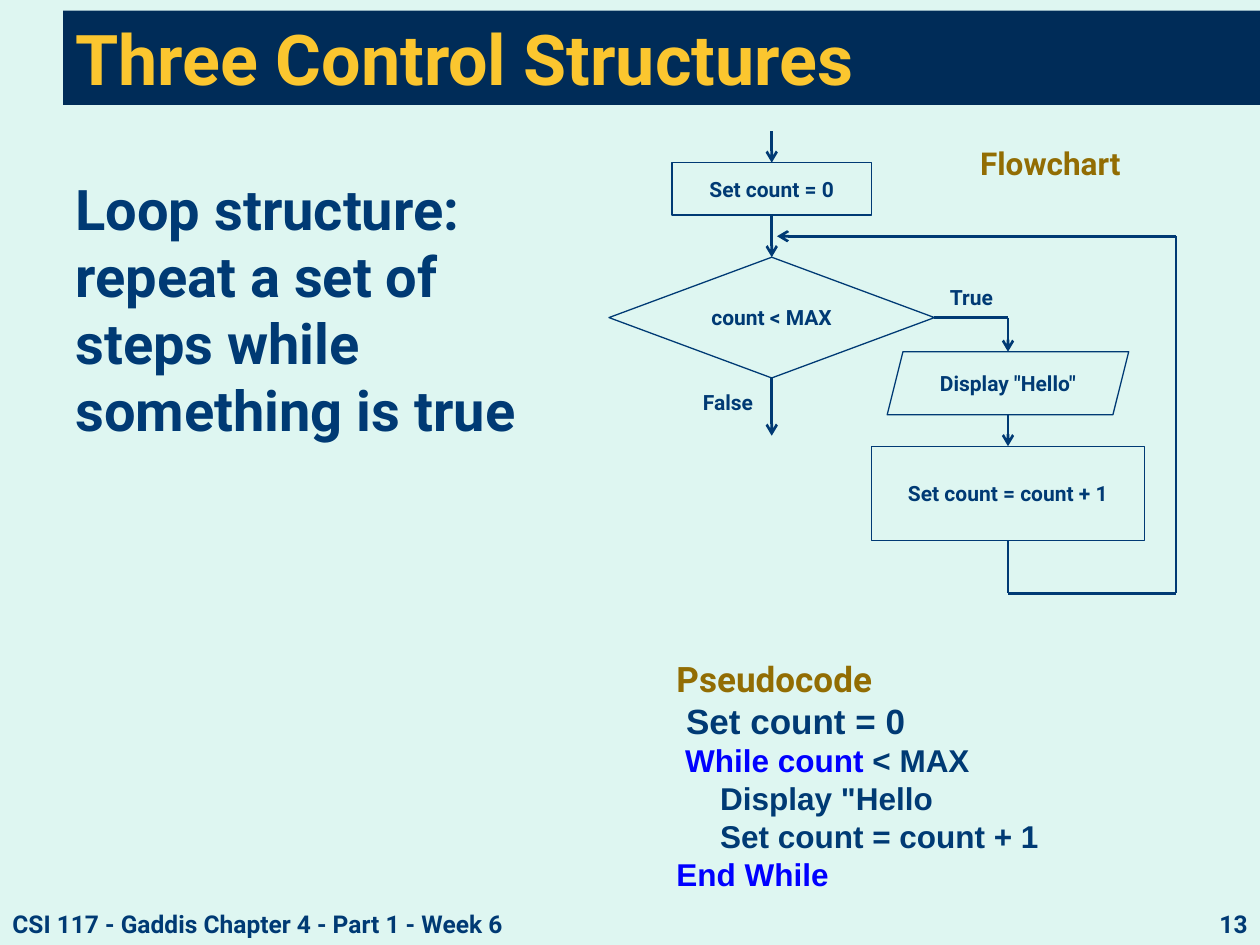
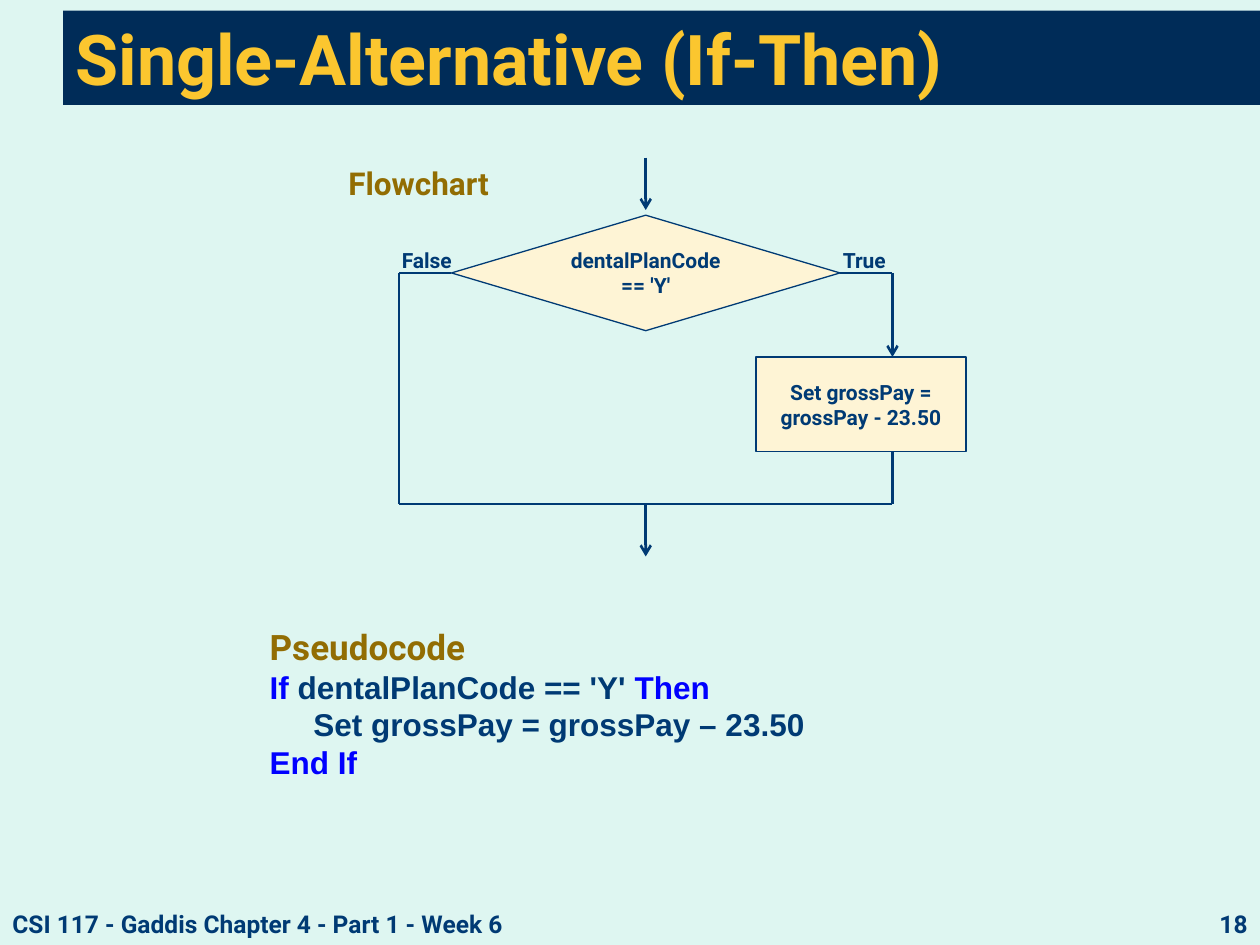
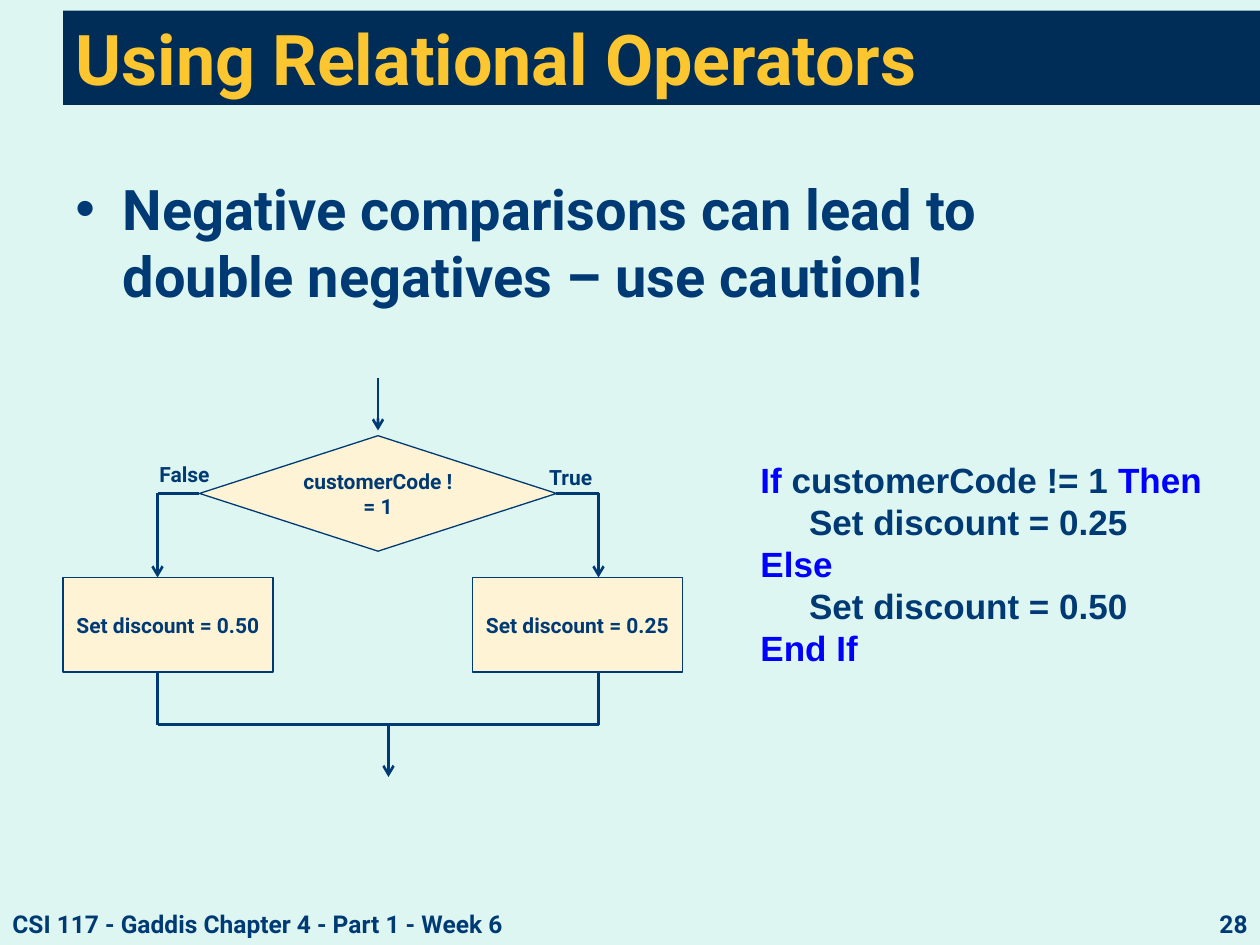
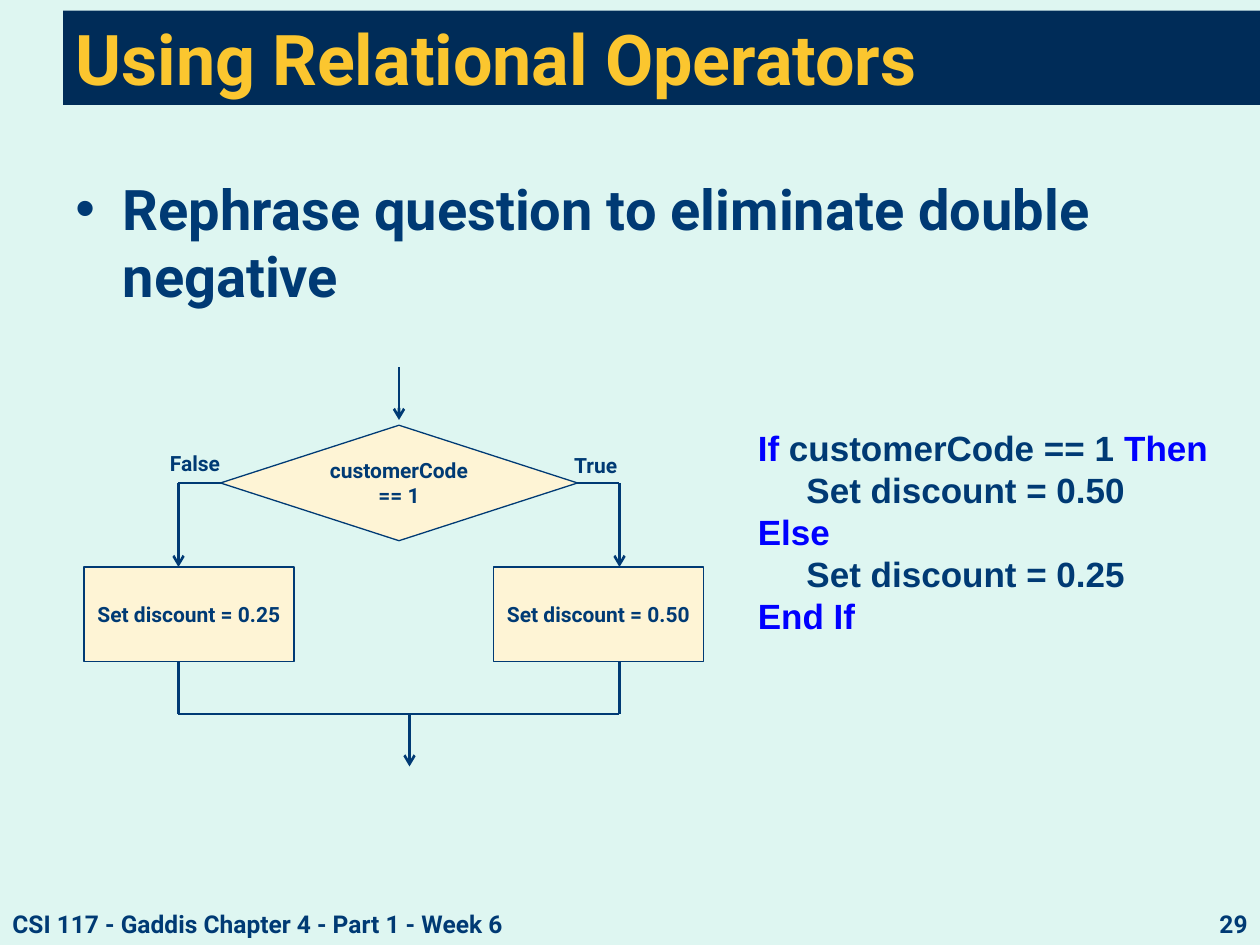
import lxml.etree
import pptx
import pptx.dml.color
import pptx.enum.shapes
import pptx.enum.text
import pptx.oxml.ns
import pptx.util

Pt = pptx.util.Pt
qn = pptx.oxml.ns.qn
SHAPES = pptx.enum.shapes.MSO_SHAPE
ALIGN = pptx.enum.text.PP_ALIGN
ANCHOR = pptx.enum.text.MSO_ANCHOR
AUTO_SIZE = pptx.enum.text.MSO_AUTO_SIZE

BACKGROUND = "DEF6F1"
BAND = "002C58"
TITLE = "FBC62F"
INK = "003A74"
CAPTION = "926D03"
KEYWORD = "0000FF"
STEP_FILL = "FEF4D5"

HEADING_FONT = "Roboto"
CODE_FONT = "Arial"
FOOTER = "CSI 117 - Gaddis Chapter 4 - Part 1 - Week 6"

TOP, LEFT, BOTTOM, RIGHT = range(4)


def color(hex_string):
    return pptx.dml.color.RGBColor.from_string(hex_string)


def fill(shape, hex_string):
    shape.fill.solid()
    shape.fill.fore_color.rgb = color(hex_string)


def format_run(run, size, hex_string=INK, font=HEADING_FONT):
    run.font.name = font
    run.font.size = Pt(size)
    run.font.bold = True
    run.font.color.rgb = color(hex_string)


def format_paragraph(paragraph, size, hex_string=INK, align=ALIGN.LEFT):
    paragraph.alignment = align
    for run in paragraph.runs:
        format_run(run, size, hex_string)


def add_text(slide, box, text, size, hex_string=INK, align=ALIGN.LEFT, wrap=True):
    shape = slide.shapes.add_textbox(*map(Pt, box))
    frame = shape.text_frame
    frame.word_wrap = wrap
    if not wrap:
        frame.auto_size = AUTO_SIZE.SHAPE_TO_FIT_TEXT
    frame.text = text
    format_paragraph(frame.paragraphs[0], size, hex_string, align)
    return shape


def add_slide(presentation, title, number):
    """Add a slide with the title band, the footer and the page number."""
    slide = presentation.slides.add_slide(presentation.slide_layouts[5])
    band = slide.shapes.title
    band.left, band.top, band.width, band.height = map(Pt, (36, 6, 684, 54))
    fill(band, BAND)
    frame = band.text_frame
    frame.text = title
    frame.auto_size = AUTO_SIZE.NONE
    frame.vertical_anchor = ANCHOR.MIDDLE
    format_paragraph(frame.paragraphs[0], 40, TITLE)
    add_text(slide, (0, 516, 414, 24), FOOTER, 14)
    add_text(slide, (552, 516, 168, 20), str(number), 14, align=ALIGN.RIGHT)
    return slide


def add_statement(slide, box, text, bullet=False):
    shape = add_text(slide, box, text, 32)
    properties = shape.text_frame.paragraphs[0]._p.get_or_add_pPr()
    spacing = lxml.etree.SubElement(properties, qn("a:spcBef"))
    lxml.etree.SubElement(spacing, qn("a:spcPct"), val="20000")
    if bullet:
        properties.set("marL", str(Pt(27)))
        properties.set("indent", str(-Pt(27)))
        lxml.etree.SubElement(properties, qn("a:buFont"), typeface=CODE_FONT)
        lxml.etree.SubElement(properties, qn("a:buChar"), char="•")


def add_caption(slide, left, top):
    fill(add_text(slide, (left, top, 114, 29), "Flowchart", 18, CAPTION), BACKGROUND)


def add_code(slide, box, lines, heading=None, wrap=True):
    """Add pseudocode; a line is (size, indent, (text, colour), ...)."""
    shape = slide.shapes.add_textbox(*map(Pt, box))
    fill(shape, BACKGROUND)
    frame = shape.text_frame
    frame.word_wrap = wrap
    frame.auto_size = AUTO_SIZE.SHAPE_TO_FIT_TEXT
    paragraph = frame.paragraphs[0]
    if heading:
        paragraph.text = heading
        format_paragraph(paragraph, 20, CAPTION)
        paragraph = frame.add_paragraph()
    for index, (size, indent, *pieces) in enumerate(lines):
        if index:
            paragraph = frame.add_paragraph()
        if indent:
            paragraph._p.get_or_add_pPr().set("marL", str(Pt(indent)))
        for text, hex_string in pieces:
            run = paragraph.add_run()
            run.text = text
            format_run(run, size, hex_string, CODE_FONT)


def add_step(slide, kind, box, text, hex_string=STEP_FILL):
    shape = slide.shapes.add_shape(kind, *map(Pt, box))
    shape.shadow.inherit = False
    fill(shape, hex_string)
    shape.line.color.rgb = color(INK)
    shape.line.width = Pt(0.75)
    frame = shape.text_frame
    frame.word_wrap = True
    frame.vertical_anchor = ANCHOR.MIDDLE
    frame.text = text
    format_paragraph(frame.paragraphs[0], 12, align=ALIGN.CENTER)
    return shape


def add_label(slide, left, top, text):
    width = 46 if text == "False" else 42.5
    add_text(slide, (left, top, width, 21.6), text, 12, wrap=False)


def add_line(slide, start, end, arrow=False, source=None, target=None):
    """Draw a line; source and target are (shape, side) to join."""
    connector = slide.shapes.add_connector(
        pptx.enum.shapes.MSO_CONNECTOR.STRAIGHT, *map(Pt, (*start, *end)))
    connector.line.color.rgb = color(INK)
    connector.line.width = Pt(1.5)
    if arrow:
        line = connector.line._get_or_add_ln()
        lxml.etree.SubElement(line, qn("a:tailEnd"), type="arrow")
    lxml.etree.SubElement(connector._element.spPr, qn("a:effectLst"))
    if source:
        connector.begin_connect(*source)
    if target:
        connector.end_connect(*target)


def add_loop_flow(slide):
    start = add_step(slide, SHAPES.RECTANGLE, (384, 93, 114, 30),
                     "Set count = 0", BACKGROUND)
    test = add_step(slide, SHAPES.FLOWCHART_DECISION, (348, 147, 186, 69),
                    "count < MAX", BACKGROUND)
    add_step(slide, SHAPES.PARALLELOGRAM, (507, 201, 138, 36),
             'Display "Hello"', BACKGROUND)
    update = add_step(slide, SHAPES.RECTANGLE, (498, 255, 156, 54),
                      "Set count = count + 1", BACKGROUND)
    main_x, body_x, return_x = 441, 576, 672
    test_y, return_y, bottom_y = 181.5, 135, 339
    add_line(slide, (main_x, 75), (main_x, 93), True, target=(start, TOP))
    add_line(slide, (main_x, 123), (main_x, 147), True, (start, BOTTOM), (test, TOP))
    add_line(slide, (main_x, 216), (main_x, 249), True, (test, BOTTOM))
    add_line(slide, (534, test_y), (body_x, test_y), source=(test, RIGHT))
    add_line(slide, (body_x, test_y), (body_x, 201), True)
    add_line(slide, (body_x, 237), (body_x, 255), True, target=(update, TOP))
    add_line(slide, (body_x, 309), (body_x, bottom_y), source=(update, BOTTOM))
    add_line(slide, (body_x, bottom_y), (return_x, bottom_y))
    add_line(slide, (return_x, bottom_y), (return_x, return_y))
    add_line(slide, (return_x, return_y), (444, return_y), True)
    add_label(slide, 535.7, 159, "True")
    add_label(slide, 394.6, 219, "False")


def add_decision_flow(slide, condition, left, top, width, reach, exit_x,
                      false_label, true_label, true_step, false_step=None):
    """Draw a decision whose branches meet again; a step is (left, text)."""
    center_x, center_y = left + width / 2, top + 33
    step_top, step_height = top + 81, 54
    join_y = top + 165
    false_x, true_x = left - reach, left + width + reach
    test = add_step(slide, SHAPES.FLOWCHART_DECISION, (left, top, width, 66), condition)
    add_line(slide, (center_x, top - 33), (center_x, top - 3), True)
    branches = ((false_x, left, LEFT, false_step),
                (true_x, left + width, RIGHT, true_step))
    for branch_x, corner_x, side, step in branches:
        add_line(slide, (corner_x, center_y), (branch_x, center_y), source=(test, side))
        if step:
            step_left, text = step
            add_step(slide, SHAPES.RECTANGLE,
                     (step_left, step_top, 120, step_height), text)
            add_line(slide, (branch_x, center_y), (branch_x, step_top), True)
            add_line(slide, (branch_x, step_top + step_height), (branch_x, join_y))
        else:
            add_line(slide, (branch_x, center_y), (branch_x, join_y))
    add_line(slide, (false_x, join_y), (true_x, join_y))
    add_line(slide, (exit_x, join_y), (exit_x, join_y + 30), True)
    add_label(slide, *false_label, "False")
    add_label(slide, *true_label, "True")


def discount_code(condition, then_value, else_value):
    return [
        (20, 0, ("If ", KEYWORD), (f"customerCode {condition} ", INK), ("Then", KEYWORD)),
        (20, 27.8, (f"Set discount = {then_value}", INK)),
        (20, 0, ("Else", KEYWORD)),
        (20, 27.8, (f"Set discount = {else_value}", INK)),
        (20, 0, ("End If", KEYWORD)),
    ]


def main():
    presentation = pptx.Presentation()
    presentation.slide_width, presentation.slide_height = Pt(720), Pt(540)
    fill(presentation.slide_master.background, BACKGROUND)

    slide = add_slide(presentation, "Three Control Structures", 13)
    add_statement(slide, (36, 96, 294, 288),
                  "Loop structure: repeat a set of steps while something is true")
    add_loop_flow(slide)
    add_caption(slide, 553, 79)
    add_code(slide, (379.5, 372, 255, 143), [
        (20, 5.5, ("Set count = 0", INK)),
        (18, 5, ("While count ", KEYWORD), ("< MAX", INK)),
        (18, 25, ('Display "Hello', INK)),
        (18, 25, ("Set count = count + 1", INK)),
        (18, 0, ("End While", KEYWORD)),
    ], "Pseudocode")

    slide = add_slide(presentation, "Single-Alternative (If-Then)", 18)
    add_decision_flow(slide, "dentalPlanCode == 'Y'", 258, 123, 222, 30, 369,
                      (222.5, 138), (474.5, 138),
                      (432, "Set grossPay = grossPay - 23.50"))
    add_caption(slide, 192, 90)
    add_code(slide, (147, 354, 444, 97), [
        (18, 0, ("If ", KEYWORD), ("dentalPlanCode == 'Y' ", INK), ("Then", KEYWORD)),
        (18, 25, ("Set grossPay = grossPay – 23.50", INK)),
        (18, 0, ("End If", KEYWORD)),
    ], "Pseudocode")

    slide = add_slide(presentation, "Using Relational Operators", 28)
    add_statement(slide, (36, 96, 600, 114),
                  "Negative comparisons can lead to double negatives – use caution!", True)
    add_code(slide, (427.5, 258.5, 268.5, 128),
             discount_code("!= 1", "0.25", "0.50"), wrap=False)
    add_decision_flow(slide, "customerCode != 1", 114, 249, 204, 24, 222,
                      (84, 260), (306.7, 262),
                      (270, "Set discount = 0.25"), (36, "Set discount = 0.50"))

    slide = add_slide(presentation, "Using Relational Operators", 29)
    add_statement(slide, (36, 96, 600, 396),
                  "Rephrase question to eliminate double negative", True)
    add_code(slide, (426, 240, 273.5, 128),
             discount_code("== 1", "0.50", "0.25"), wrap=False)
    add_decision_flow(slide, "customerCode == 1", 126, 243, 204, 24, 234,
                      (90, 254), (321, 255),
                      (282, "Set discount = 0.50"), (48, "Set discount = 0.25"))

    presentation.save("out.pptx")


if __name__ == "__main__":
    main()
